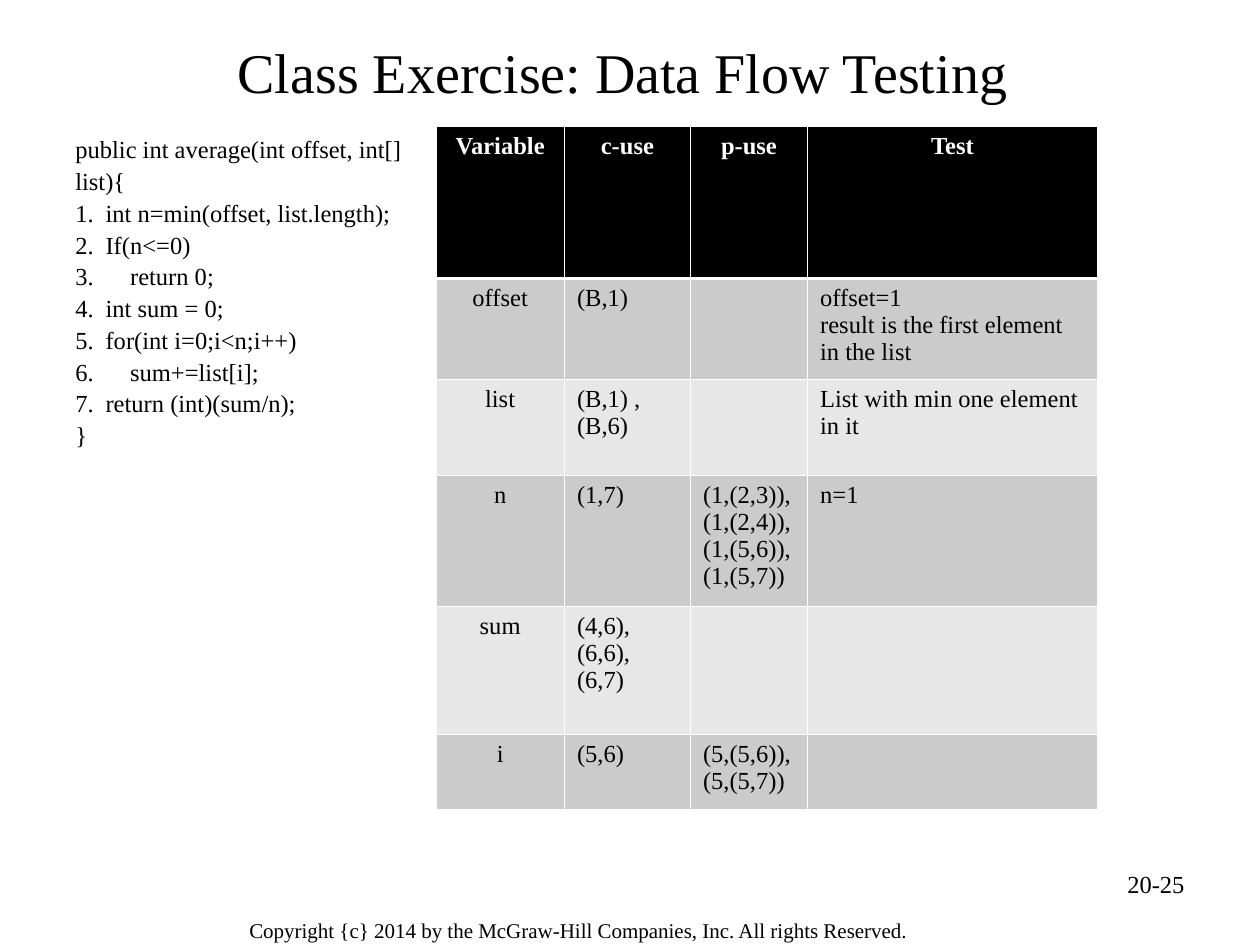
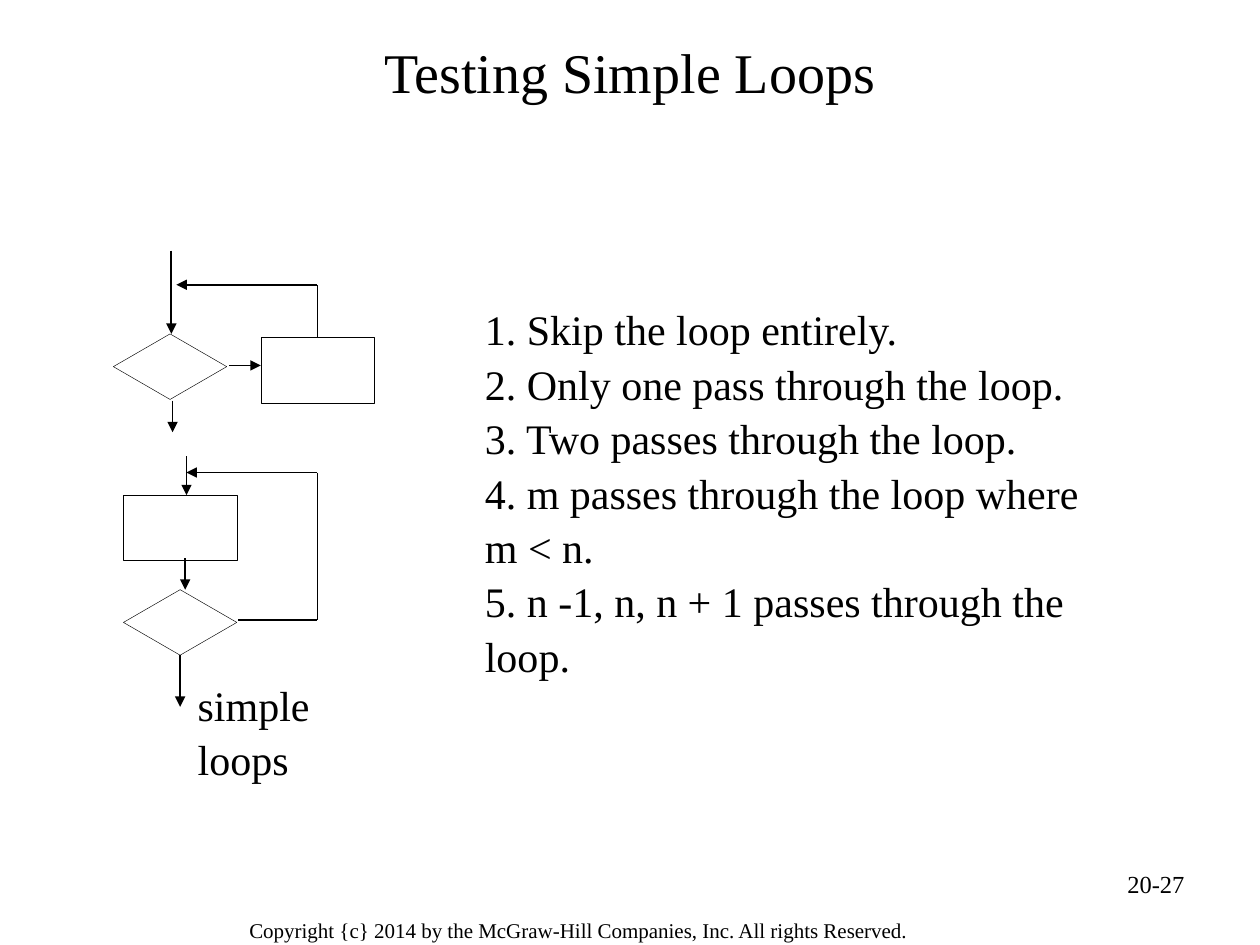
import pptx
import pptx.util
import pptx.dml.color
import pptx.enum.text
import pptx.enum.shapes
import pptx.oxml
import lxml.etree

Inches = pptx.util.Inches
Pt = pptx.util.Pt
ALIGN = pptx.enum.text.PP_ALIGN
ANCHOR = pptx.enum.text.MSO_ANCHOR
SHAPE = pptx.enum.shapes.MSO_SHAPE
LINE = pptx.enum.shapes.MSO_CONNECTOR.STRAIGHT
qn = pptx.oxml.ns.qn

BLACK, WHITE = "000000", "FFFFFF"
BANDS = ["E7E7E7", "CBCBCB"]


def rgb(code):
    return pptx.dml.color.RGBColor.from_string(code)


def fill_text(frame, text, size, align=ALIGN.LEFT, color=BLACK, bold=False, space=1.08):
    frame.text = text
    look = {"name": "Times New Roman", "size": Pt(size), "bold": bold}
    for para in frame.paragraphs:
        para.alignment = align
        para.line_spacing = space
        for run in para.runs:
            for key, val in look.items():
                setattr(run.font, key, val)
            run.font.color.rgb = rgb(color)


deck = pptx.Presentation()
deck.slide_width, deck.slide_height = Inches(10), Inches(7.5)

note = "Copyright {c} 2014 by the McGraw-Hill Companies, Inc. All rights Reserved."
code = """public int average(int offset, int[] list){
int n=min(offset, list.length);
If(n<=0)
    return 0;
int sum = 0;
for(int i=0;i<n;i++)
    sum+=list[i];
return (int)(sum/n);
}"""
steps = """1. Skip the loop entirely.
2. Only one pass through the loop.
3. Two passes through the loop.
4. m passes through the loop where\vm < n.
5. n -1, n, n + 1 passes through the loop."""

pages = [
    ("Class Exercise: Data Flow Testing ", "20-25", [(code, 14, (0.5, 1, 2.96, 2.8), True)]),
    ("Testing Simple Loops", "20-27", [
        ("simple loops", 24, (1.47, 5.31, 1.89, 0.5), False),
        (steps, 24, (3.75, 2.33, 5.37, 3.51), True),
    ]),
]

slides = []
for title, number, bodies in pages:
    slide = deck.slides.add_slide(deck.slide_layouts[6])
    slides.append(slide)
    boxes = [
        (note, 12, (1.88, 7.22, 6.19, 0.31), True, ALIGN.LEFT, ANCHOR.TOP),
        (title, 32, (0.5, 0.18, 9, 0.73), True, ALIGN.CENTER, ANCHOR.MIDDLE),
        (number, 14, (7.17, 6.83, 2.33, 0.52), True, ALIGN.RIGHT, ANCHOR.TOP),
    ]
    boxes += [body + (ALIGN.LEFT, ANCHOR.TOP) for body in bodies]
    for text, size, place, wrap, align, anchor in boxes:
        frame = slide.shapes.add_textbox(*map(Inches, place)).text_frame
        frame.word_wrap = wrap
        frame.vertical_anchor = anchor
        fill_text(frame, text, size, align)
        if text == code:
            for para in frame.paragraphs[1:-1]:
                props = para._p.get_or_add_pPr()
                props.set("marL", str(Inches(0.24)))
                props.set("indent", str(-Inches(0.24)))
                mark = lxml.etree.SubElement(props, qn("a:buAutoNum"))
                mark.set("type", "arabicPeriod")

rows = [
    ["Variable", "c-use", "p-use", "Test"],
    ["offset", "(B,1)", "", "offset=1\nresult is the first element in the list"],
    ["list", "(B,1) , (B,6)", "", "List with min one element in it"],
    ["n", "(1,7)", "(1,(2,3)),(1,(2,4)),(1,(5,6)),(1,(5,7))", "n=1"],
    ["sum", "(4,6), (6,6), (6,7)", "", ""],
    ["i", "(5,6)", "(5,(5,6)),(5,(5,7))", ""],
]
widths = [1.02, 1, 0.93, 2.3]
heights = [1.21, 0.8, 0.76, 1.04, 1.02, 0.59]
place = map(Inches, (3.46, 1, 5.24, 5.43))
table = slides[0].shapes.add_table(len(rows), len(widths), *place).table
for col, width in zip(table.columns, widths):
    col.width = Inches(width)
for r, row in enumerate(rows):
    table.rows[r].height = Inches(heights[r])
    head = r == 0
    for c, text in enumerate(row):
        cell = table.cell(r, c)
        props = cell._tc.get_or_add_tcPr()
        for side in "LRTB":
            thick = (side == "B" and r == 0) or (side == "T" and r == 1)
            edge = lxml.etree.SubElement(props, qn("a:ln" + side))
            edge.set("w", str(Pt(1.47 if thick else 0.45)))
            paint = lxml.etree.SubElement(edge, qn("a:solidFill"))
            lxml.etree.SubElement(paint, qn("a:srgbClr")).set("val", WHITE)
        cell.fill.solid()
        cell.fill.fore_color.rgb = rgb(BLACK if head else BANDS[r % 2])
        align = ALIGN.CENTER if head or c == 0 else ALIGN.LEFT
        fill_text(cell.text_frame, text, 14, align, WHITE if head else BLACK, head, 1.0)

shapes = slides[1].shapes
nodes = [
    (SHAPE.DIAMOND, 0.9, 2.65),
    (SHAPE.RECTANGLE, 2.07, 2.68),
    (SHAPE.RECTANGLE, 0.98, 3.93),
    (SHAPE.DIAMOND, 0.98, 4.68),
]
for kind, left, top in nodes:
    node = shapes.add_shape(kind, *map(Inches, (left, top, 0.9, 0.52)))
    node.shadow.inherit = False
    node.fill.background()
    node.line.color.rgb = rgb(BLACK)
    node.line.width = Pt(0.25)

flows = [
    ((1.36, 1.99, 1.36, 2.65), True),
    ((1.82, 2.9, 2.07, 2.9), True),
    ((2.52, 2.68, 2.52, 2.26), False),
    ((2.52, 2.26, 1.4, 2.26), True),
    ((1.37, 3.18, 1.37, 3.43), True),
    ((1.47, 4.43, 1.47, 4.68), True),
    ((1.48, 3.62, 1.48, 3.93), True),
    ((1.89, 4.92, 2.52, 4.92), False),
    ((2.52, 4.92, 2.52, 3.75), False),
    ((2.52, 3.75, 1.48, 3.75), True),
    ((1.43, 5.2, 1.43, 5.61), True),
]
for ends, arrow in flows:
    flow = shapes.add_connector(LINE, *map(Inches, ends))
    flow.line.color.rgb = rgb(BLACK)
    flow.line.width = Pt(1)
    if arrow:
        tip = lxml.etree.SubElement(flow.line._get_or_add_ln(), qn("a:tailEnd"))
        tip.set("type", "triangle")
    lxml.etree.SubElement(flow._element.spPr, qn("a:effectLst"))

deck.save("out.pptx")
